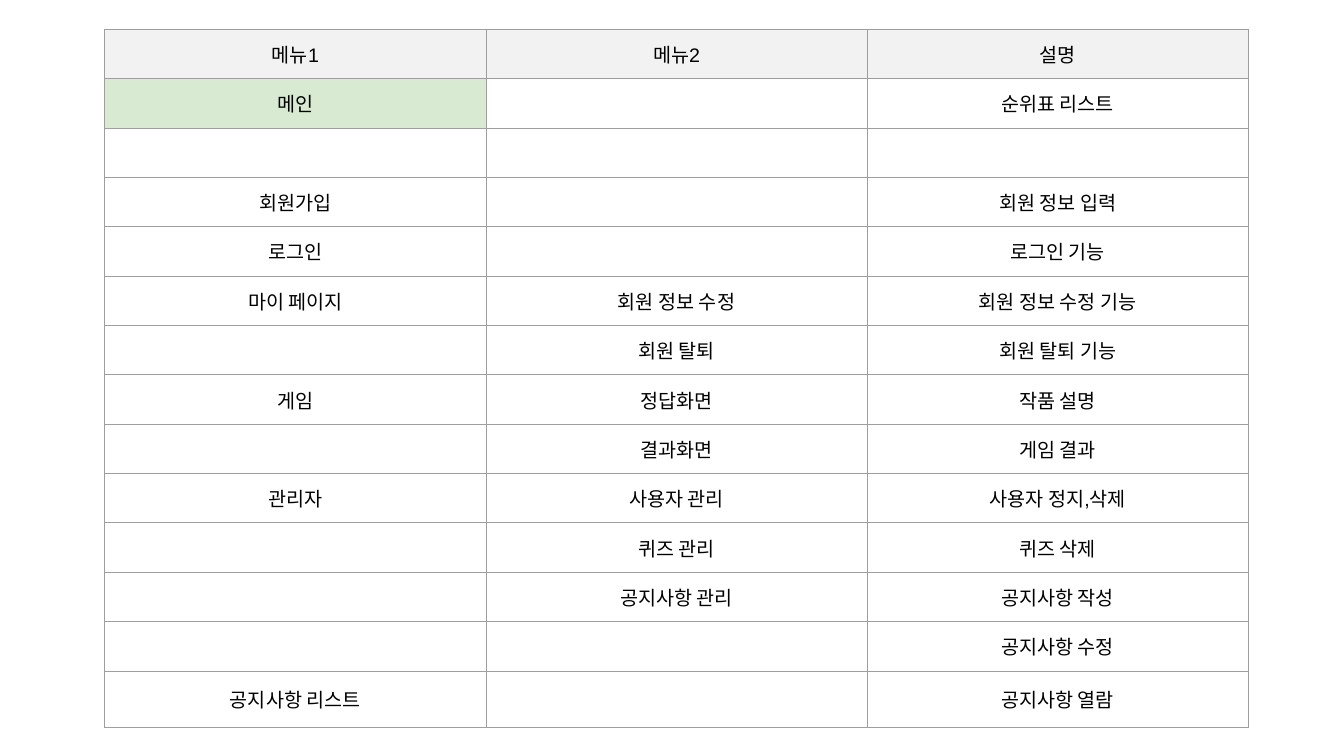
from lxml.etree import SubElement
from pptx import Presentation
from pptx.dml.color import RGBColor
from pptx.enum.text import MSO_ANCHOR, PP_ALIGN
from pptx.oxml import parse_xml
from pptx.oxml.ns import nsdecls, qn
from pptx.util import Inches, Pt

ROWS = [
    ("메뉴1", "메뉴2", "설명"),
    ("메인", "", "순위표 리스트"),
    ("", "", ""),
    ("회원가입", "", "회원 정보 입력"),
    ("로그인", "", "로그인 기능"),
    ("마이 페이지", "회원 정보 수정", "회원 정보 수정 기능"),
    ("", "회원 탈퇴", "회원 탈퇴 기능"),
    ("게임", "정답화면", "작품 설명"),
    ("", "결과화면", "게임 결과"),
    ("관리자", "사용자 관리", "사용자 정지,삭제"),
    ("", "퀴즈 관리", "퀴즈 삭제"),
    ("", "공지사항 관리", "공지사항 작성"),
    ("", "", "공지사항 수정"),
    ("공지사항 리스트", "", "공지사항 열람"),
]
COLUMN_WIDTH, ROW_HEIGHT, LAST_ROW_HEIGHT = 3.78, 0.49, 0.56
FILLS = {(0, 0): "F2F2F2", (0, 1): "F2F2F2", (0, 2): "F2F2F2",
         (1, 0): "D9EAD3", (2, 0): "FFFFFF"}
CELL_FORMAT = {
    "vertical_anchor": MSO_ANCHOR.MIDDLE,
    "margin_left": Inches(0.1),
    "margin_right": Inches(0.1),
    "margin_top": Inches(0.1),
    "margin_bottom": Inches(0.1),
}
FONT_FORMAT = {"name": "Arial", "size": Pt(14)}


def color(hex_value):
    return RGBColor.from_string(hex_value)


def add_borders(cell, hex_value, width):
    """Line all four sides; the lines must precede the fill in the cell's XML."""
    properties = cell._tc.get_or_add_tcPr()
    for position, side in enumerate(("lnL", "lnR", "lnT", "lnB")):
        properties.insert(position, parse_xml(
            f'<a:{side} {nsdecls("a")} w="{width}"><a:solidFill>'
            f'<a:srgbClr val="{hex_value}"/></a:solidFill></a:{side}>'))


deck = Presentation()
deck.slide_width, deck.slide_height = Inches(13.33), Inches(7.5)
page = deck.slides.add_slide(deck.slide_layouts[6])

frame = page.shapes.add_table(
    len(ROWS), 3, Inches(1.04), Inches(0.29), Inches(3 * COLUMN_WIDTH),
    Inches((len(ROWS) - 1) * ROW_HEIGHT + LAST_ROW_HEIGHT))
table = frame.table
table.first_row = table.horz_banding = False
for column in table.columns:
    column.width = Inches(COLUMN_WIDTH)
for row in table.rows:
    row.height = Inches(ROW_HEIGHT)
table.rows[len(ROWS) - 1].height = Inches(LAST_ROW_HEIGHT)

for row_index, texts in enumerate(ROWS):
    for column_index, text in enumerate(texts):
        cell = table.cell(row_index, column_index)
        for name, value in CELL_FORMAT.items():
            setattr(cell, name, value)
        fill = FILLS.get((row_index, column_index))
        if fill:
            cell.fill.solid()
            cell.fill.fore_color.rgb = color(fill)
        else:
            cell.fill.background()
        add_borders(cell, "9E9E9E", Pt(0.75))

        para = cell.text_frame.paragraphs[0]
        para.alignment = PP_ALIGN.CENTER
        if text:
            span = para.add_run()
            span.text = text
            for name, value in FONT_FORMAT.items():
                setattr(span.font, name, value)
            span.font.color.rgb = color("000000")
        else:
            # An empty cell at the default 18 pt would stretch its row.
            SubElement(para._p, qn("a:endParaRPr"), sz="1400")

deck.save("out.pptx")
